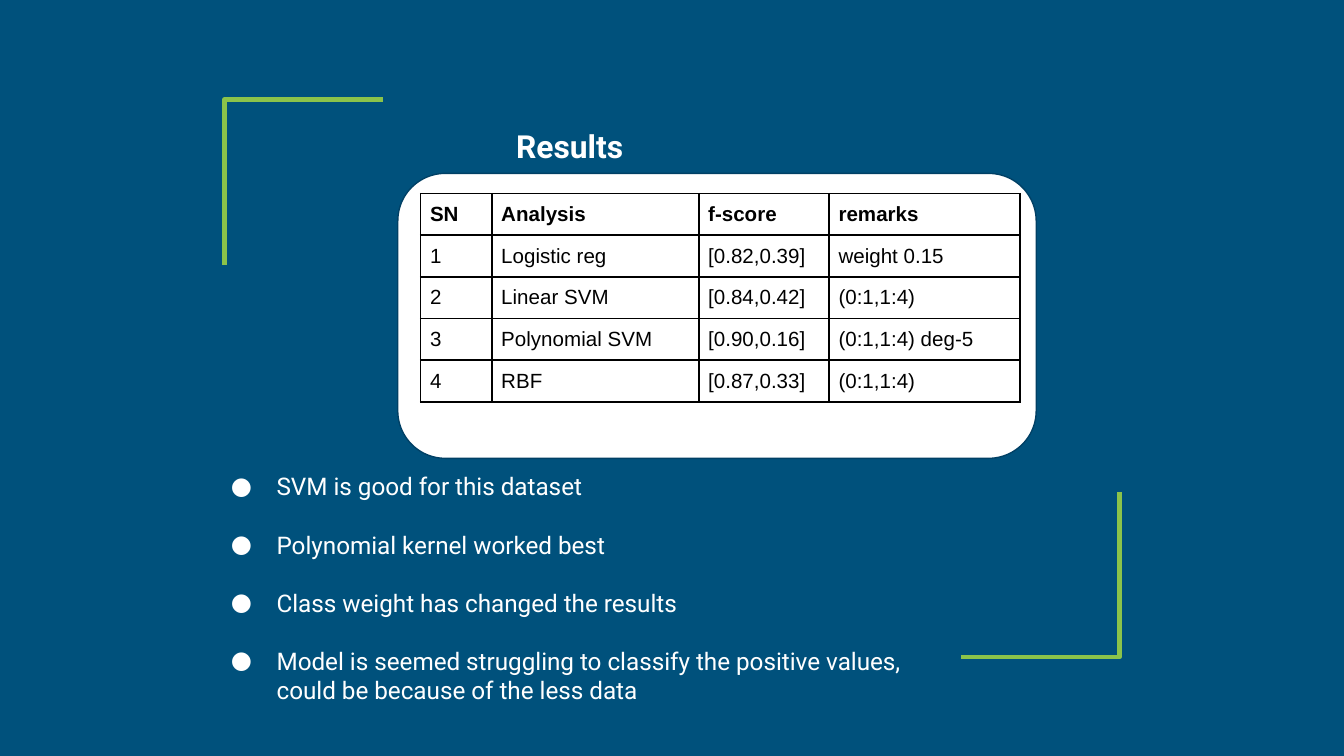
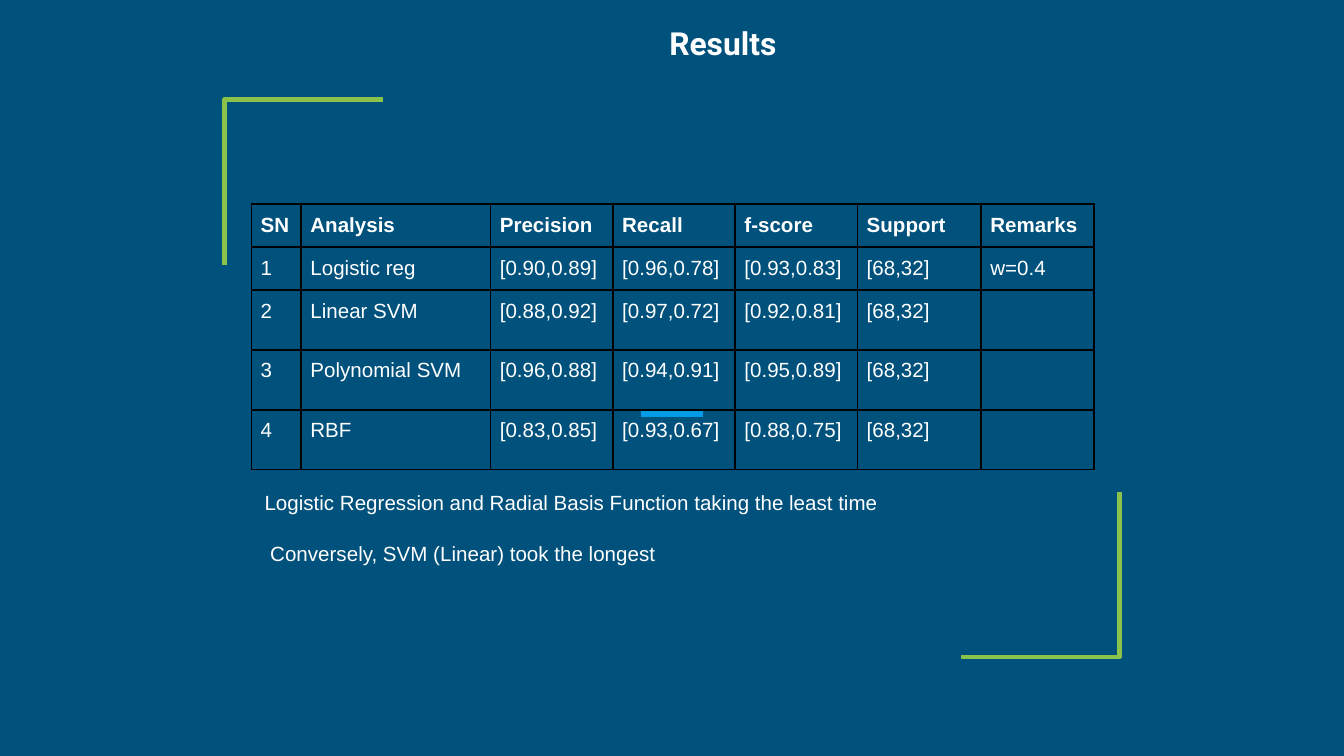
from lxml.etree import SubElement
from pptx import Presentation
from pptx.dml.color import RGBColor
from pptx.enum.shapes import MSO_CONNECTOR, MSO_SHAPE
from pptx.enum.text import MSO_ANCHOR, MSO_AUTO_SIZE, PP_ALIGN
from pptx.oxml import parse_xml
from pptx.oxml.ns import nsdecls, qn
from pptx.util import Inches, Pt

COLORS = {
    "background": "00517C",
    "bracket": "8BC34A",
    "accent": "039BE5",
    "panel_edge": "004065",
    "white": "FFFFFF",
    "black": "000000",
}

SCORES = [
    ["SN", "Analysis", "f-score", "remarks"],
    ["1", "Logistic reg", "[0.82,0.39]", "weight 0.15"],
    ["2", "Linear SVM", "[0.84,0.42]", "(0:1,1:4)"],
    ["3", "Polynomial SVM", "[0.90,0.16]", "(0:1,1:4) deg-5"],
    ["4", "RBF", "[0.87,0.33]", "(0:1,1:4)"],
]
FINDINGS = [
    "SVM is good for this dataset",
    "Polynomial kernel worked best",
    "Class weight has changed the results",
    "Model is seemed struggling to classify the positive values, "
    "could be because of the less data",
]
METRICS = [
    ["SN", "Analysis", "Precision", "Recall", "f-score", "Support", "Remarks"],
    ["1", "Logistic reg", "[0.90,0.89]", "[0.96,0.78]", "[0.93,0.83]", "[68,32]", "w=0.4"],
    ["2", "Linear SVM", "[0.88,0.92]", "[0.97,0.72]", "[0.92,0.81]", "[68,32]", ""],
    ["3", "Polynomial SVM", "[0.96,0.88]", "[0.94,0.91]", "[0.95,0.89]", "[68,32]", ""],
    ["4", "RBF", "[0.83,0.85]", "[0.93,0.67]", "[0.88,0.75]", "[68,32]", ""],
]
TIMINGS = [
    "Logistic Regression and Radial Basis Function taking the least time",
    " Conversely, SVM (Linear) took the longest",
]


def color(name):
    return RGBColor.from_string(COLORS[name])


def style_line(line, name, width):
    line.color.rgb = color(name)
    line.width = Pt(width)


def add_bullet(para, name, size, font):
    """Give a paragraph a hanging round bullet."""
    props = para._p.get_or_add_pPr()
    props.set("marL", str(Inches(0.5)))
    props.set("indent", str(Inches(-0.34)))
    tint = SubElement(props, qn("a:buClr"))
    SubElement(tint, qn("a:srgbClr"), val=COLORS[name])
    SubElement(props, qn("a:buSzPts"), val=str(size * 100))
    SubElement(props, qn("a:buFont"), typeface=font)
    SubElement(props, qn("a:buChar"), char="●")


def write(frame, lines, size=11, font="Arial", ink="white", bold=False, margin=0.1,
          before=0, after=0, spacing=1.0, bullet=False):
    """Fill a text frame, one paragraph for each line."""
    frame.word_wrap = True
    frame.vertical_anchor = MSO_ANCHOR.TOP
    frame.margin_left = frame.margin_right = Inches(margin)
    frame.margin_top = frame.margin_bottom = Inches(margin)
    for index, line in enumerate(lines):
        para = frame.paragraphs[0] if index == 0 else frame.add_paragraph()
        para.alignment = PP_ALIGN.LEFT
        para.space_before, para.space_after = Pt(before), Pt(after)
        para.line_spacing = spacing
        if bullet:
            add_bullet(para, ink, size, font)
        span = para.add_run()
        span.text = line
        span.font.size = Pt(size)
        span.font.name = font
        span.font.bold = bold
        span.font.color.rgb = color(ink)


def add_text(page, box, lines, **style):
    shape = page.shapes.add_textbox(*map(Inches, box))
    write(shape.text_frame, lines, **style)


def add_title(page, left, top):
    title = page.shapes.title
    title.left, title.top = Inches(left), Inches(top)
    title.width, title.height = Inches(2.88), Inches(0.49)
    write(title.text_frame, ["Results"], size=17, font="Roboto", bold=True)
    title.text_frame.auto_size = MSO_AUTO_SIZE.NONE


def add_brackets(page, box):
    """Draw the top-left and bottom-right corners of a box."""
    left, top, width, height = box
    corners = [(left, top, 1), (left + width, top + height, -1)]
    for x, y, direction in corners:
        points = [(x, y + 1.23 * direction), (x, y), (x + 1.18 * direction, y)]
        points = [(Inches(px), Inches(py)) for px, py in points]
        builder = page.shapes.build_freeform(*points[0])
        builder.add_line_segments(points[1:], close=False)
        bracket = builder.convert_to_shape()
        bracket.shadow.inherit = False
        bracket.fill.background()
        style_line(bracket.line, "bracket", 2.25)


def add_borders(cell):
    props = cell._tc.get_or_add_tcPr()
    for index, side in enumerate(("lnL", "lnR", "lnT", "lnB")):
        props.insert(index, parse_xml(
            f'<a:{side} {nsdecls("a")} w="{Pt(1)}"><a:solidFill>'
            f'<a:srgbClr val="{COLORS["black"]}"/></a:solidFill></a:{side}>'))


def add_grid(page, left, top, rows, widths, heights, ink):
    """Place an unfilled, bordered table with a bold first row."""
    box = map(Inches, (left, top, sum(widths), sum(heights)))
    table = page.shapes.add_table(len(rows), len(widths), *box).table
    table.horz_banding = False
    table.first_row = False
    for column, width in zip(table.columns, widths):
        column.width = Inches(width)
    for r, (texts, height) in enumerate(zip(rows, heights)):
        table.rows[r].height = Inches(height)
        for c, text in enumerate(texts):
            cell = table.cell(r, c)
            cell.fill.background()
            add_borders(cell)
            cell.vertical_anchor = MSO_ANCHOR.TOP
            cell.margin_left = cell.margin_right = Inches(0.07)
            cell.margin_top = cell.margin_bottom = Inches(0.07)
            if text:
                write(cell.text_frame, [text], ink=ink, bold=r == 0, margin=0.07)


def add_score_panel(page, box):
    """Place the white panel and the score table inside it."""
    left, top = box[:2]
    panel = page.shapes.add_shape(MSO_SHAPE.ROUNDED_RECTANGLE, *map(Inches, box))
    panel.shadow.inherit = False
    panel.fill.solid()
    panel.fill.fore_color.rgb = color("white")
    style_line(panel.line, "panel_edge", 0.75)
    add_grid(page, left + 0.17, top + 0.15, SCORES, [0.53, 1.54, 0.97, 1.42],
             [0.31] * len(SCORES), "black")


def add_accent(page, left, top, width):
    accent = page.shapes.add_connector(
        MSO_CONNECTOR.STRAIGHT, *map(Inches, (left, top, left + width, top)))
    style_line(accent.line, "accent", 3)
    SubElement(accent._element.spPr, qn("a:effectLst"))


def start_page(deck):
    page = deck.slides.add_slide(deck.slide_layouts[5])
    add_brackets(page, (1.67, 0.74, 6.66, 4.15))
    return page


def build_scores(deck):
    page = start_page(deck)
    add_score_panel(page, (2.96, 1.29, 4.75, 2.12))
    add_title(page, 3.74, 0.84)
    add_text(page, (1.46, 3.41, 5.69, 1.95), FINDINGS, size=13, font="Roboto",
             after=15.5, bullet=True)


def build_metrics(deck):
    page = start_page(deck)
    add_accent(page, 4.77, 3.08, 0.46)
    add_title(page, 4.88, 0.08)
    add_grid(page, 1.87, 1.52, METRICS, [0.37, 1.41, 0.91, 0.91, 0.91, 0.92, 0.84],
             [0.32] * 2 + [0.44] * 3, "white")
    add_text(page, (1.87, 3.52, 6.33, 0.77), TIMINGS, before=12, spacing=1.15)


def main():
    deck = Presentation()
    # Widescreen, 16 to 9
    deck.slide_width = Inches(10)
    deck.slide_height = Inches(10) * 9 // 16
    # Shared background
    backdrop = deck.slide_master.background.fill
    backdrop.solid()
    backdrop.fore_color.rgb = color("background")
    build_scores(deck)
    build_metrics(deck)
    deck.save("out.pptx")


if __name__ == "__main__":
    main()
